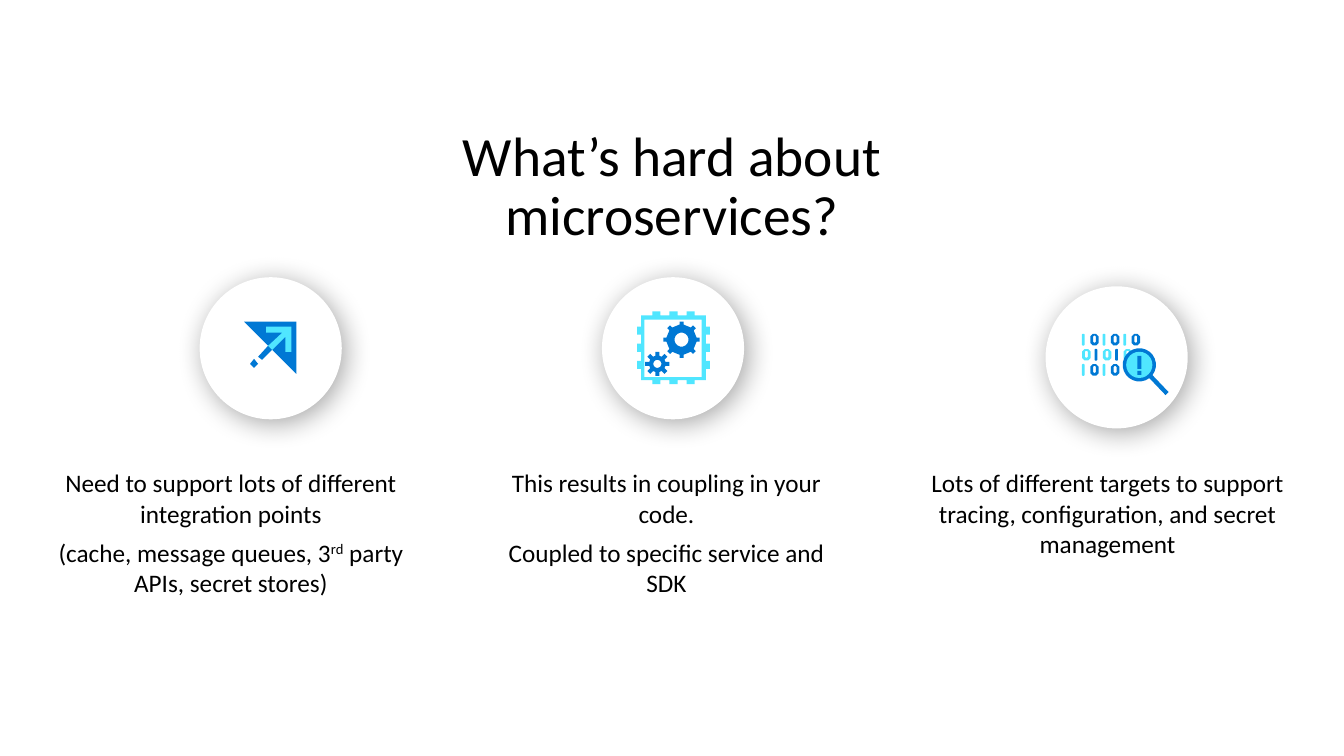
"""Build a slide on what is hard about microservices."""
from math import cos, pi, radians, sin, tau

from lxml import etree
from pptx import Presentation
from pptx.dml.color import RGBColor
from pptx.enum.shapes import MSO_SHAPE
from pptx.enum.text import MSO_ANCHOR, MSO_AUTO_SIZE, PP_ALIGN
from pptx.oxml.ns import qn
from pptx.util import Inches, Pt

OVAL, RECT = MSO_SHAPE.OVAL, MSO_SHAPE.RECTANGLE
CENTER, MIDDLE = PP_ALIGN.CENTER, MSO_ANCHOR.MIDDLE
GROW = MSO_AUTO_SIZE.SHAPE_TO_FIT_TEXT
COLORS = {"white": "FFFFFF", "black": "000000", "blue": "0078D4", "cyan": "50E6FF"}
FONT = "Calibri"


def paint(shape, hue):
    shape.shadow.inherit = False
    shape.fill.solid()
    shape.fill.fore_color.rgb = RGBColor.from_string(COLORS[hue])
    shape.line.fill.background()


def pill(x, y, w, h, count=8):
    r = w / 2
    turns = [(k + 0.5) * tau / count for k in range(count)]
    return [(x + r + r * cos(a), y + (r if sin(a) < 0 else h - r) + r * sin(a))
            for a in turns]


deck = Presentation()
deck.slide_width, deck.slide_height = Inches(13.33), Inches(7.5)
slide = deck.slides.add_slide(deck.slide_layouts[6])

title = slide.shapes.add_textbox(Inches(3.56), Inches(1.32), Inches(6.21), Inches(1.09))
frame = title.text_frame
frame.word_wrap = True
frame.vertical_anchor = MIDDLE
para = frame.paragraphs[0]
para.text = "What’s hard about microservices?"
para.alignment = CENTER
para.line_spacing = 0.9
para.font.name, para.font.size = FONT, Pt(39.6)
para.font.color.rgb = RGBColor.from_string(COLORS["black"])

arrow = [
    ("blue", [[(2.94, 3.19), (2.94, 3.71), (2.42, 3.19)]]),
    ("blue", [[(2.66, 3.43), (2.56, 3.54), (2.6, 3.57), (2.7, 3.47)]]),
    ("cyan", [[(2.64, 3.24), (2.64, 3.3), (2.8, 3.3), (2.66, 3.43), (2.7, 3.47),
               (2.83, 3.34), (2.83, 3.49), (2.89, 3.49), (2.89, 3.24)]]),
    ("blue", [[(2.52, 3.56), (2.48, 3.61), (2.52, 3.65), (2.56, 3.61)]]),
]

side = [(-0.32, -0.32)]
for t in (-0.17, 0, 0.17):
    side += [(t - 0.04, -0.32), (t - 0.04, -0.36), (t + 0.04, -0.36), (t + 0.04, -0.32)]
edge = []
for turn in range(4):
    edge += [(6.68 + x, 3.45 + y) for x, y in side]
    side = [(-y, x) for x, y in side]
hole = [(6.39, 3.17), (6.96, 3.17), (6.96, 3.74), (6.39, 3.74)]
gears = [("cyan", [edge, hole])]
for cx, cy, tip, root, bore in ((6.76, 3.37, 0.18, 0.15, 0.07),
                                (6.52, 3.61, 0.12, 0.08, 0.04)):
    teeth = []
    for k in range(8):
        a = k * pi / 4
        for u, v in ((root, -0.02), (tip, -0.02), (tip, 0.02), (root, 0.02)):
            teeth.append((cx + u * cos(a) - v * sin(a), cy + u * sin(a) + v * cos(a)))
    gears.append(("blue", [teeth, pill(cx - bore, cy - bore, 2 * bore, 2 * bore, 16)]))

search = []
for row, bits in enumerate(("101010", "01010", "1010")):
    x, y = 10.73, 3.31 + 0.15 * row
    for bit in bits:
        zero = bit == "0"
        hue = "blue" if zero != (row == 1) else "cyan"
        rings = [pill(x, y, 0.09 if zero else 0.03, 0.12)]
        if zero:
            rings.append(pill(x + 0.03, y + 0.02, 0.03, 0.07))
        search.append((hue, rings))
        x += 0.125 if zero else 0.08
rim = [(11.3 + 0.165 * cos(radians(d)), 3.62 + 0.165 * sin(radians(d)))
       for d in range(53, 400, 15)]
search.append(("blue", [rim + [(11.59, 3.89), (11.56, 3.92)]]))

lens = [
    (OVAL, 11.17, 3.49, 0.26, 0.26, "cyan"),
    (RECT, 11.28, 3.53, 0.04, 0.13, "blue"),
    (RECT, 11.28, 3.68, 0.04, 0.04, "blue"),
]

for left, top, forms, marks in ((1.98, 2.75, arrow, []), (5.97, 2.75, gears, []),
                                (10.37, 2.84, search, lens)):
    icon = slide.shapes.add_group_shape().shapes
    disc = icon.add_shape(OVAL, Inches(left), Inches(top), Inches(1.41), Inches(1.41))
    paint(disc, "white")
    glow = etree.SubElement(disc._element.spPr.find(qn("a:effectLst")), qn("a:outerShdw"),
                            blurRad=str(Pt(20)), dist=str(Pt(4)), dir="2700000",
                            algn="ctr", rotWithShape="0")
    tint = etree.SubElement(glow, qn("a:srgbClr"), val=COLORS["black"])
    etree.SubElement(tint, qn("a:alpha"), val="35000")
    for hue, rings in forms:
        pen = None
        for ring in rings:
            dots = [(Inches(x), Inches(y)) for x, y in ring]
            if pen is None:
                pen = icon.build_freeform(*dots[0])
            else:
                pen.move_to(*dots[0])
            pen.add_line_segments(dots[1:], close=True)
        paint(pen.convert_to_shape(), hue)
    for kind, x, y, w, h, hue in marks:
        paint(icon.add_shape(kind, Inches(x), Inches(y), Inches(w), Inches(h)), hue)

notes = [
    (0.58, 3.42, ["Need to support lots of different integration points",
                  "(cache, message queues, 3^rd^ party APIs, secret stores)"]),
    (4.9, 3.42, ["This results in coupling in your code.",
                 "Coupled to specific service and SDK"]),
    (9.22, 3.53, ["Lots of different targets to support tracing, configuration, "
                  "and secret management"]),
]
for left, width, lines in notes:
    box = slide.shapes.add_textbox(Inches(left), Inches(4.64), Inches(width), Inches(1.32))
    frame = box.text_frame
    frame.word_wrap = True
    frame.auto_size = GROW
    frame.margin_left = frame.margin_right = frame.margin_top = frame.margin_bottom = 0
    for k, line in enumerate(lines):
        para = frame.add_paragraph() if k else frame.paragraphs[0]
        para.alignment = CENTER
        para.space_after = Pt(6.3)
        para.font.name, para.font.size = FONT, Pt(18)
        para.font.color.rgb = RGBColor.from_string(COLORS["black"])
        for n, part in enumerate(line.split("^")):
            run = para.add_run()
            run.text = part
            if n == 1:
                run._r.get_or_add_rPr().set("baseline", "30000")

deck.save("out.pptx")
